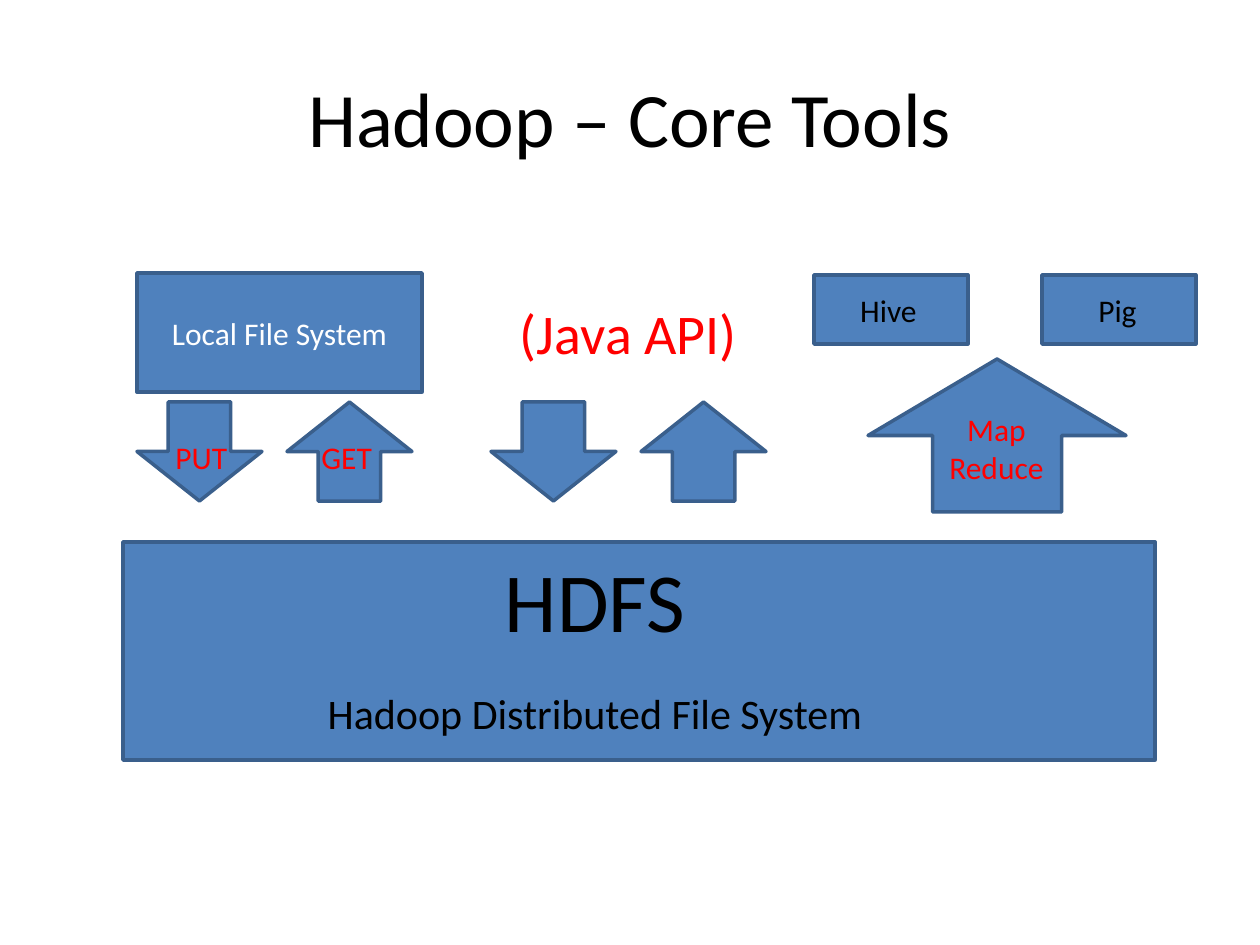
from pptx import Presentation
from pptx.dml.color import RGBColor
from pptx.enum.shapes import MSO_SHAPE
from pptx.enum.text import MSO_ANCHOR, PP_ALIGN
from pptx.util import Emu, Pt

PX = 914400 / 126
BLACK, WHITE, RED = "000000", "FFFFFF", "FF0000"
BLUE, DARK_BLUE = "4F81BD", "3A5F8C"
LEFT, CENTER = PP_ALIGN.LEFT, PP_ALIGN.CENTER
TOP, MIDDLE = MSO_ANCHOR.TOP, MSO_ANCHOR.MIDDLE


def lengths(*pixels):
    """Turn pixel lengths into EMU."""
    return [Emu(round(value * PX)) for value in pixels]


def write(box, lines, color, align=CENTER, anchor=TOP):
    """Fill a box with one paragraph per (text, size, space before)."""
    frame = box.text_frame
    frame.word_wrap = True
    frame.vertical_anchor = anchor
    for index, (text, size, before) in enumerate(lines):
        para = frame.paragraphs[0] if index == 0 else frame.add_paragraph()
        para.alignment = align
        para.space_before = Pt(before)
        span = para.add_run()
        span.text = text
        for name, value in {"name": "Calibri", "size": Pt(size)}.items():
            setattr(span.font, name, value)
        span.font.color.rgb = RGBColor.from_string(color)


deck = Presentation()
deck.slide_width, deck.slide_height = lengths(1260, 945)
page = deck.slides.add_slide(deck.slide_layouts[5])

title = page.shapes.title
title.left, title.top, title.width, title.height = lengths(63, 38, 1134, 158)
write(title, [("Hadoop – Core Tools", 44, 0)], BLACK, anchor=MIDDLE)

# Blue blocks and arrows: preset, place, rotation
blocks = [
    (MSO_SHAPE.RECTANGLE, (123, 542, 1032, 218), 0),
    (MSO_SHAPE.RECTANGLE, (137, 273, 285, 119), 0),
    (MSO_SHAPE.DOWN_ARROW, (868, 359, 258, 153), 180),
]
for pair_left in (137, 491):
    blocks.append((MSO_SHAPE.DOWN_ARROW, (pair_left, 402, 125, 99), 0))
    blocks.append((MSO_SHAPE.DOWN_ARROW, (pair_left + 150, 402, 125, 99), 180))
for tool_left in (814, 1042):
    blocks.append((MSO_SHAPE.RECTANGLE, (tool_left, 275, 154, 69), 0))

for preset, place, rotation in blocks:
    block = page.shapes.add_shape(preset, *lengths(*place))
    block.rotation = rotation
    block.shadow.inherit = False
    block.fill.solid()
    block.fill.fore_color.rgb = RGBColor.from_string(BLUE)
    block.line.color.rgb = RGBColor.from_string(DARK_BLUE)
    block.line.width = Pt(2)
    if place[:2] == (137, 273):
        write(block, [("Local File System", 18, 0)], WHITE, anchor=MIDDLE)

# Labels: place, lines, colour, alignment
labels = [
    ((248, 542, 694, 204),
     [("HDFS", 48, 0), ("Hadoop Distributed File System", 24, 22)], BLACK, CENTER),
    ((163, 432, 88, 50), [("PUT", 18, 0)], RED, LEFT),
    ((309, 432, 88, 50), [("GET", 18, 0)], RED, LEFT),
    ((491, 292, 275, 81), [("(Java API)", 32, 0)], RED, CENTER),
    ((907, 404, 179, 90), [("Map", 18, 0), ("Reduce", 18, 0)], RED, CENTER),
    ((813, 285, 151, 50), [("Hive", 18, 0)], BLACK, CENTER),
    ((1042, 285, 151, 50), [("Pig", 18, 0)], BLACK, CENTER),
]
for place, lines, color, align in labels:
    write(page.shapes.add_textbox(*lengths(*place)), lines, color, align)

deck.save("out.pptx")
